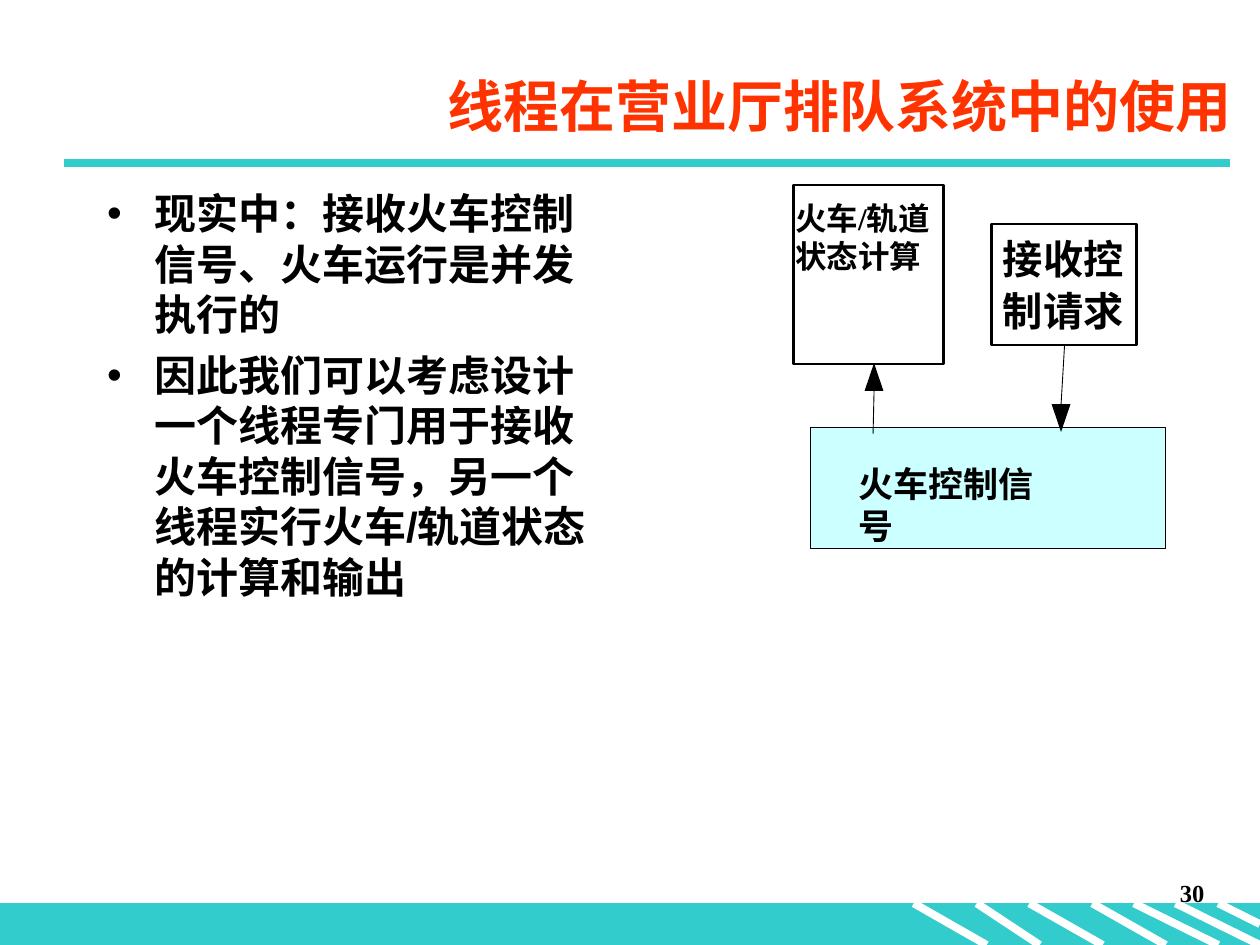
from dataclasses import dataclass
from typing import NamedTuple

from lxml.etree import SubElement
from pptx import Presentation
from pptx.dml.color import RGBColor
from pptx.enum.shapes import MSO_CONNECTOR, MSO_SHAPE
from pptx.enum.text import MSO_ANCHOR, PP_ALIGN
from pptx.oxml.ns import qn
from pptx.util import Cm, Pt


@dataclass(frozen=True)
class Theme:
    teal: str = "33CCCC"
    pale: str = "CCFFFF"
    red: str = "FF3300"
    black: str = "000000"
    white: str = "FFFFFF"
    sans: str = "Arial"
    serif: str = "Times New Roman"
    hei: str = "Noto Sans CJK SC"
    title: float = 32
    body: float = 24
    ask: float = 23
    signal: float = 20
    state: float = 18
    page: float = 14
    thick: float = 4.5
    edge: float = 1.5
    thin: float = 0.5


class Area(NamedTuple):
    left: float
    top: float
    width: float
    height: float


class Box(NamedTuple):
    area: Area
    fill: str
    line: str
    weight: float


class Label(NamedTuple):
    area: Area
    lines: tuple[str, ...]
    size: float
    font: str


class Arrow(NamedTuple):
    start: tuple[float, float]
    tip: tuple[float, float]


class Slash(NamedTuple):
    left: float
    right: float
    drop: float = 0.84


THEME = Theme()
FLOOR = 18.21
HEAD_LONG = 0.56
HEAD_HALF = 0.19

SLASHES = (
    Slash(18.42, 19.89), Slash(19.69, 20.96), Slash(20.75, 22.23),
    Slash(22.02, 23.5), Slash(22.86, 24.56), Slash(23.7, 25.4),
    Slash(24.56, 25.4, 0.42),
)
BOXES = (
    Box(Area(16, 3.73, 3.02, 3.61), THEME.white, THEME.black, THEME.edge),
    Box(Area(16.33, 8.61, 7.16, 2.44), THEME.pale, THEME.black, THEME.thin),
    Box(Area(19.99, 4.52, 2.92, 2.44), THEME.white, THEME.black, THEME.edge),
)
LABELS = (
    Label(Area(16.03, 4.01, 3.02, 1.52), ("火车/轨道", "状态计算"), THEME.state, THEME.serif),
    Label(Area(17.3, 9.32, 4.24, 0.84), ("火车控制信号",), THEME.signal, THEME.serif),
    Label(Area(20.22, 4.72, 2.44, 0.97), ("接收控",), THEME.ask, THEME.hei),
    Label(Area(20.22, 5.77, 2.44, 0.97), ("制请求",), THEME.ask, THEME.hei),
)
ARROWS = (
    Arrow((17.6, 8.74), (17.62, 7.32)),
    Arrow((21.46, 6.96), (21.39, 8.71)),
)
POINTS = (
    "现实中：接收火车控制信号、火车运行是并发执行的",
    "因此我们可以考虑设计一个线程专门用于接收火车控制信号，另一个线程实行火车/轨道状态的计算和输出",
)


def paint(fill, tint: str) -> None:
    fill.solid()
    fill.fore_color.rgb = RGBColor.from_string(tint)


def place(shape, area: Area) -> None:
    shape.left, shape.top, shape.width, shape.height = map(Cm, area)


def write(para, text: str, size: float, font: str, tint: str = THEME.black) -> None:
    run = para.add_run()
    run.text = text
    run.font.size = Pt(size)
    run.font.name = font
    run.font.bold = True
    run.font.color.rgb = RGBColor.from_string(tint)
    if font == THEME.hei:
        SubElement(run.font._element, qn("a:ea"), typeface=font)


def draw_line(slide, start: tuple[float, float], end: tuple[float, float],
              tint: str, weight: float) -> None:
    line = slide.shapes.add_connector(
        MSO_CONNECTOR.STRAIGHT, *map(Cm, (*start, *end)))
    line.line.color.rgb = RGBColor.from_string(tint)
    line.line.width = Pt(weight)
    SubElement(line._element.spPr, qn("a:effectLst"))


def draw_box(slide, box: Box) -> None:
    shape = slide.shapes.add_shape(MSO_SHAPE.RECTANGLE, *map(Cm, box.area))
    shape.shadow.inherit = False
    paint(shape.fill, box.fill)
    paint(shape.line.fill, box.line)
    shape.line.width = Pt(box.weight)


def draw_label(slide, label: Label) -> None:
    frame = slide.shapes.add_textbox(*map(Cm, label.area)).text_frame
    frame.word_wrap = False
    frame.margin_left = frame.margin_right = 0
    frame.margin_top = frame.margin_bottom = 0
    for i, text in enumerate(label.lines):
        para = frame.add_paragraph() if i else frame.paragraphs[0]
        write(para, text, label.size, label.font)


def draw_arrow(slide, arrow: Arrow) -> None:
    x, y = arrow.tip
    way = 1 if y > arrow.start[1] else -1
    base = y - way * HEAD_LONG
    draw_line(slide, arrow.start, (x, base), THEME.black, THEME.thin)
    pen = slide.shapes.build_freeform(Cm(x), Cm(y))
    pen.add_line_segments(
        [(Cm(x - HEAD_HALF), Cm(base)), (Cm(x + HEAD_HALF), Cm(base))], close=True)
    head = pen.convert_to_shape()
    head.shadow.inherit = False
    paint(head.fill, THEME.black)
    head.line.fill.background()


def draw_base(slide) -> None:
    draw_box(slide, Box(Area(0, FLOOR, 25.4, 0.84), THEME.teal, THEME.teal, 0.75))
    for slash in SLASHES:
        draw_line(slide, (slash.left, FLOOR), (slash.right, FLOOR + slash.drop),
                  THEME.white, THEME.thick)
    draw_line(slide, (1.3, 3.28), (24.79, 3.28), THEME.teal, THEME.thick)


def draw_title(slide) -> None:
    title = slide.shapes.title
    place(title, Area(3.51, 1.12, 21.59, 2.01))
    title.text_frame.vertical_anchor = MSO_ANCHOR.MIDDLE
    para = title.text_frame.paragraphs[0]
    para.alignment = PP_ALIGN.RIGHT
    write(para, "线程在营业厅排队系统中的使用", THEME.title, THEME.sans, THEME.red)


def draw_points(slide) -> None:
    area = Area(1.91, 3.66, 10.19, 12.8)
    frame = slide.shapes.add_textbox(*map(Cm, area)).text_frame
    frame.word_wrap = True
    for i, text in enumerate(POINTS):
        para = frame.add_paragraph() if i else frame.paragraphs[0]
        para.space_before = Pt(6)
        props = para._p.get_or_add_pPr()
        props.set("marL", str(Cm(0.95)))
        props.set("indent", str(-Cm(0.95)))
        SubElement(props, qn("a:buFont"), typeface=THEME.sans)
        SubElement(props, qn("a:buChar"), char="•")
        write(para, text, THEME.body, THEME.sans)


def draw_page(slide) -> None:
    area = Area(19.25, 17.58, 5.28, 1.27)
    frame = slide.shapes.add_textbox(*map(Cm, area)).text_frame
    frame.word_wrap = True
    para = frame.paragraphs[0]
    para.alignment = PP_ALIGN.RIGHT
    para.space_before = Pt(8.8)
    write(para, "30", THEME.page, THEME.serif)


def main() -> None:
    deck = Presentation()
    deck.slide_width, deck.slide_height = Cm(25.4), Cm(19.05)
    slide = deck.slides.add_slide(deck.slide_layouts[5])
    draw_base(slide)
    draw_title(slide)
    draw_points(slide)
    for box in BOXES:
        draw_box(slide, box)
    for label in LABELS:
        draw_label(slide, label)
    for arrow in ARROWS:
        draw_arrow(slide, arrow)
    draw_page(slide)
    deck.save("out.pptx")


if __name__ == "__main__":
    main()
